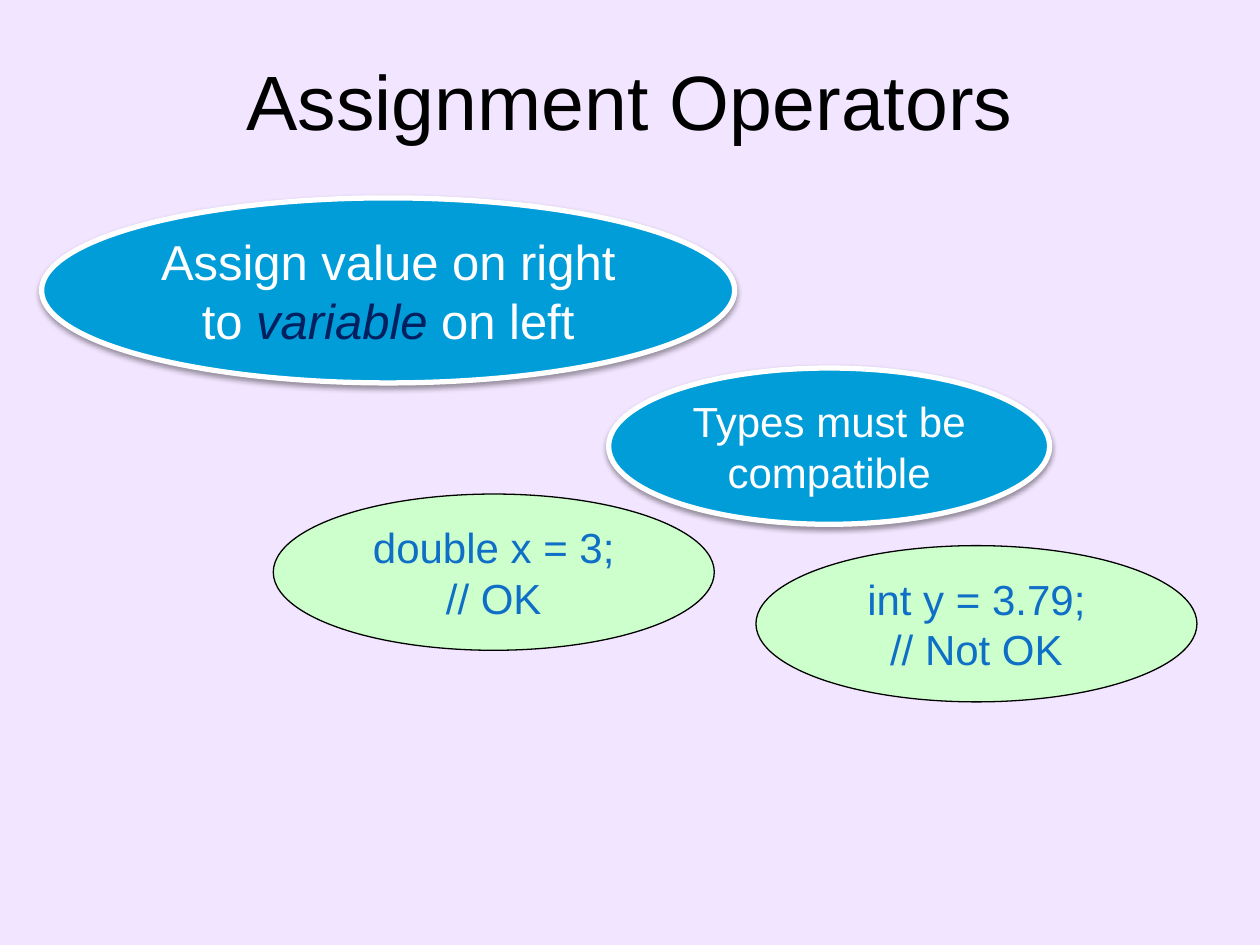
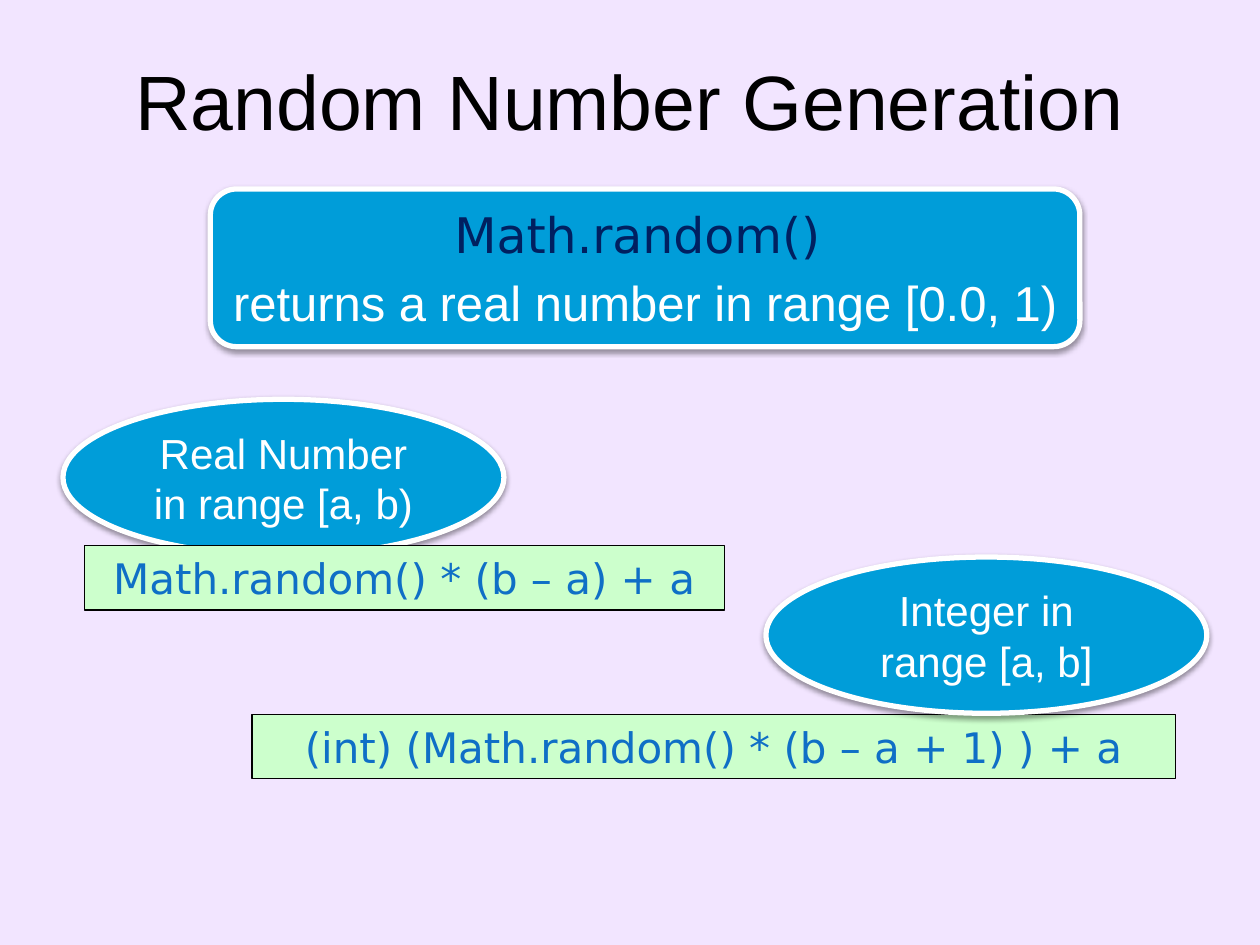
from lxml import etree
from pptx import Presentation
from pptx.dml.color import RGBColor
from pptx.enum.shapes import MSO_SHAPE
from pptx.enum.text import MSO_ANCHOR, PP_ALIGN
from pptx.oxml.ns import qn
from pptx.util import Cm, Pt

ELLIPSE, RECT, ROUNDED = MSO_SHAPE.OVAL, MSO_SHAPE.RECTANGLE, MSO_SHAPE.ROUNDED_RECTANGLE
CENTER, MIDDLE = PP_ALIGN.CENTER, MSO_ANCHOR.MIDDLE

BACKGROUND, BLACK, WHITE, NAVY = "F2E5FF", "000000", "FFFFFF", "002060"
SANS, CODE = "Arial", "DejaVu Sans"

# Concepts are blue with a soft shadow; code examples are flat green.
STYLES = {
    "concept": dict(fill="009DD9", line=WHITE, width=3, text=WHITE, shadow=True),
    "example": dict(fill="CCFFCC", line=BLACK, width=0.75, text="0F6FC6", shadow=False),
}

TITLE_BOX = (1.27, 0.43, 22.86, 3.18)
BUBBLE = (8.89, 3.15)
CODE_HEIGHT = 1.3

# Each shape: style, preset, (left, top), (width, height), size, paragraphs.
# A paragraph is a list of runs: text, then any font settings of its own.
SLIDES = [
    ("Assignment Operators", [
        ("concept", ELLIPSE, (0.84, 3.99), (13.97, 3.73), 28,
         [[("Assign value on right to ", {}),
           ("variable", {"color": NAVY, "italic": True}),
           (" on left", {})]]),
        ("concept", ELLIPSE, (12.27, 7.42), BUBBLE, 24,
         [[("Types must be compatible", {})]]),
        ("example", ELLIPSE, (5.51, 9.96), BUBBLE, 24,
         [[("double x = 3;", {})], [("// OK", {})]]),
        ("example", ELLIPSE, (15.24, 11), BUBBLE, 24,
         [[("int y = 3.79;", {})], [("// Not OK", {})]]),
    ]),
    ("Random Number Generation", [
        ("concept", ROUNDED, (4.24, 3.81), (17.53, 3.18), 28,
         [[("Math.random() ", {"name": CODE, "color": NAVY})],
          [("returns a real number in range [0.0, 1)", {})]]),
        ("concept", ELLIPSE, (1.27, 8.05), BUBBLE, 24,
         [[("Real Number in range [a, b)", {})]]),
        ("example", RECT, (1.7, 11), (12.9, CODE_HEIGHT), 24,
         [[("Math.random() * (b – a) + a", {"name": CODE})]]),
        ("example", RECT, (5.08, 14.4), (18.62, CODE_HEIGHT), 24,
         [[("(int) (Math.random() * (b – a + 1) ) + a", {"name": CODE})]]),
        ("concept", ELLIPSE, (15.44, 11.23), BUBBLE, 24,
         [[("Integer in range [a, b]", {})]]),
    ]),
]


def rgb(color):
    return RGBColor.from_string(color)


def set_font(font, size, color, name=SANS, italic=None):
    font.size, font.name, font.italic = Pt(size), name, italic
    font.color.rgb = rgb(color)


def add_shadow(sp):
    effects = sp._element.spPr.find(qn("a:effectLst"))
    shadow = etree.SubElement(effects, qn("a:outerShdw"), blurRad=str(Pt(3.1)),
                              dist=str(Pt(1.6)), dir="5400000", rotWithShape="0")
    color = etree.SubElement(shadow, qn("a:srgbClr"), val=BLACK)
    etree.SubElement(color, qn("a:alpha"), val="38000")


def add_title(slide, title):
    tf = slide.shapes.add_textbox(*map(Cm, TITLE_BOX)).text_frame
    tf.word_wrap = True
    tf.vertical_anchor = MIDDLE
    p = tf.paragraphs[0]
    p.text = title
    p.alignment = CENTER
    set_font(p.font, 44, BLACK)


def add_box(slide, kind, preset, position, extent, size, paragraphs):
    style = STYLES[kind]
    sp = slide.shapes.add_shape(preset, *map(Cm, position + extent))
    sp.fill.solid()
    sp.fill.fore_color.rgb = rgb(style["fill"])
    sp.line.color.rgb = rgb(style["line"])
    sp.line.width = Pt(style["width"])
    sp.shadow.inherit = False
    if style["shadow"]:
        add_shadow(sp)

    tf = sp.text_frame
    tf.word_wrap = preset == ELLIPSE
    tf.margin_left = tf.margin_right = Cm(0.3)
    tf.vertical_anchor = MIDDLE
    for i, runs in enumerate(paragraphs):
        p = tf.add_paragraph() if i else tf.paragraphs[0]
        p.alignment = CENTER
        if i and preset == ROUNDED:
            p.space_before = Pt(size * 0.2)
        for text, own in runs:
            r = p.add_run()
            r.text = text
            set_font(r.font, size, **{"color": style["text"], **own})


def main():
    prs = Presentation()
    prs.slide_width, prs.slide_height = Cm(25.4), Cm(19.05)
    for title, boxes in SLIDES:
        slide = prs.slides.add_slide(prs.slide_layouts[6])
        slide.background.fill.solid()
        slide.background.fill.fore_color.rgb = rgb(BACKGROUND)
        add_title(slide, title)
        for box in boxes:
            add_box(slide, *box)
    prs.save("out.pptx")


if __name__ == "__main__":
    main()
